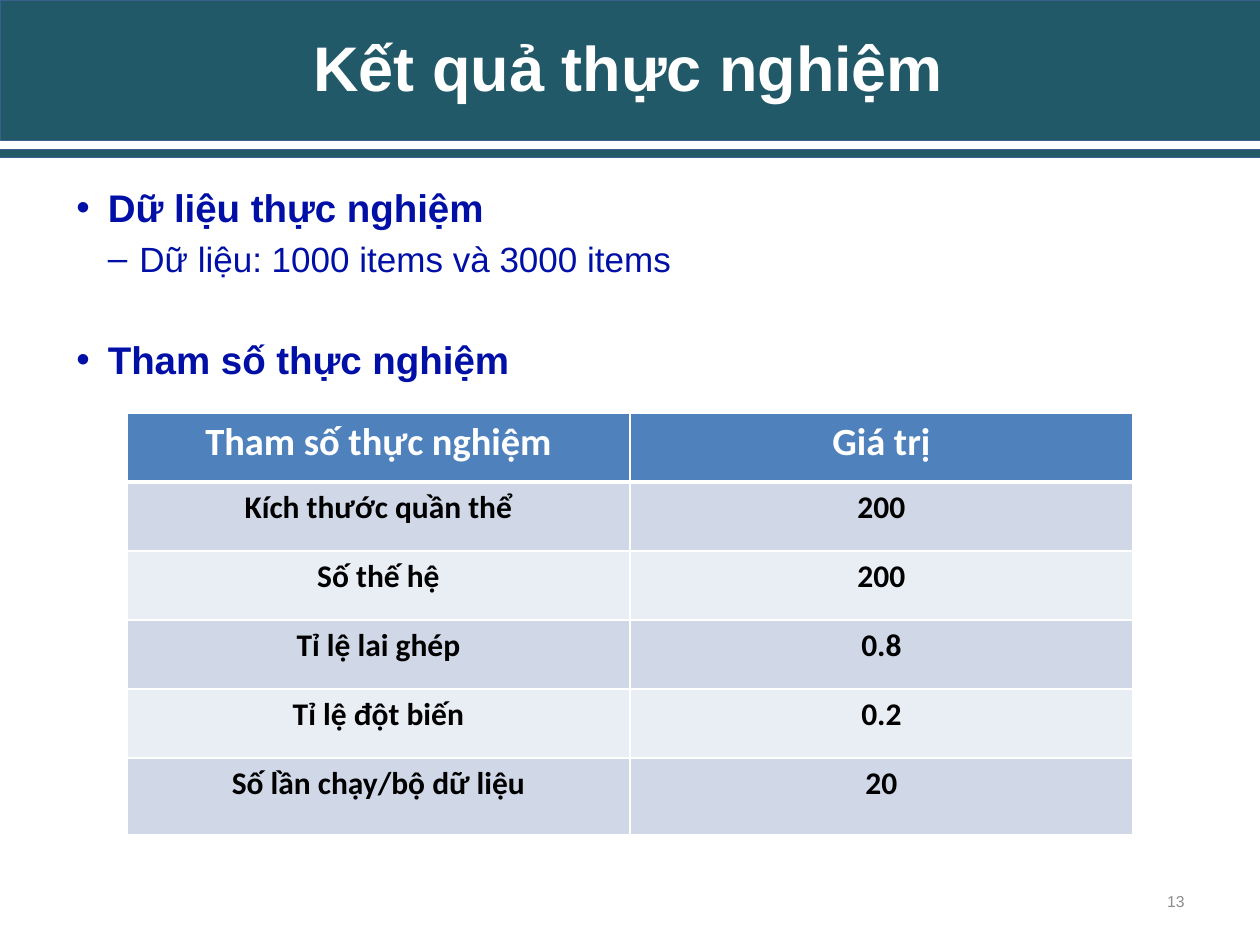
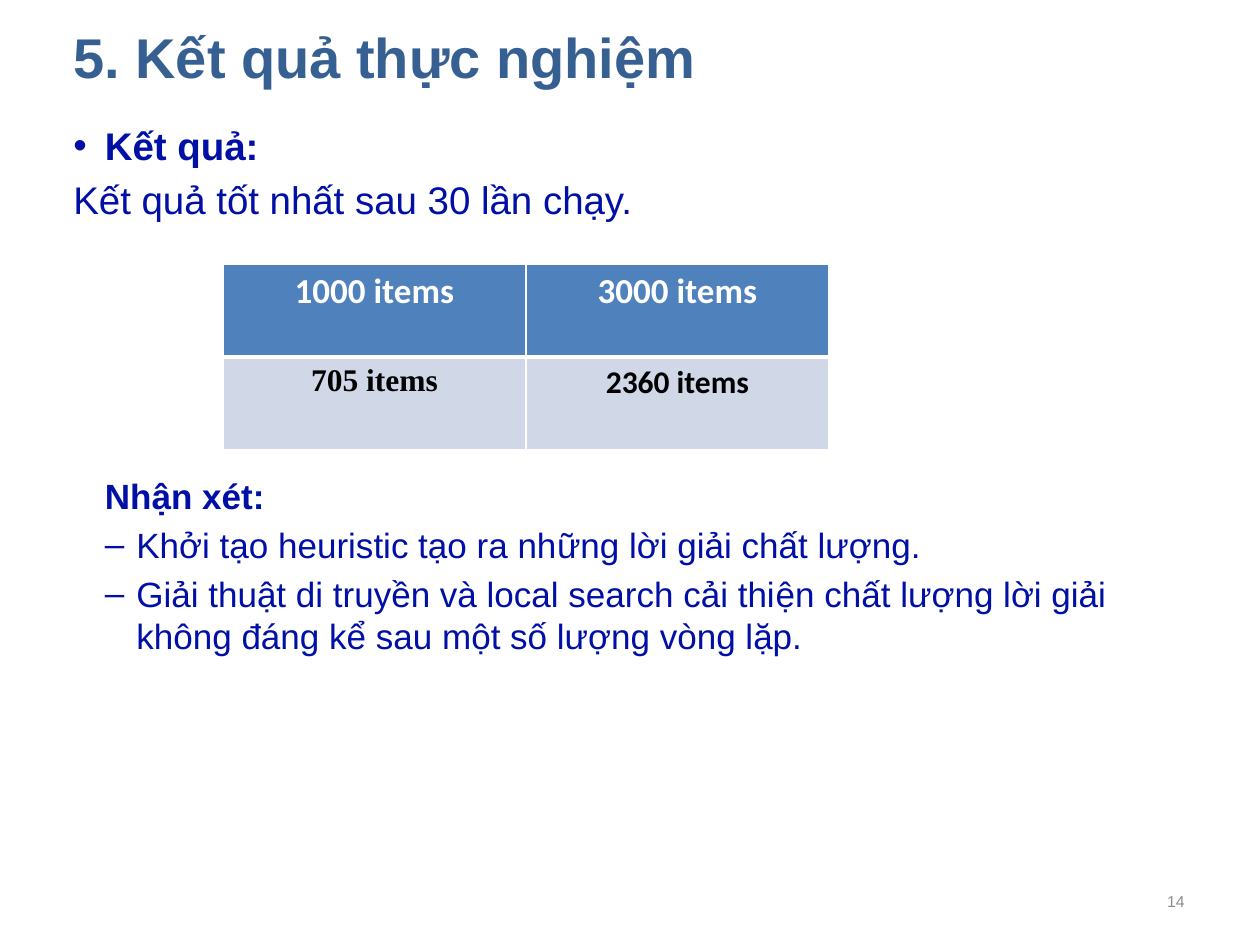
from lxml import etree
from pptx import Presentation
from pptx import util as u
from pptx.dml.color import RGBColor
from pptx.enum import shapes, text
from pptx.oxml.ns import qn

SCALE = 914400 / 126
PAGE = (1260, 945)
COLORS = {
    "band": "215968", "band_line": "3A5F8C", "heading": "376092",
    "body": "000FA5", "number": "8C8C8C", "white": "FFFFFF",
    "black": "000000", "header": "4F81BD", "odd": "D0D8E8", "even": "E9EDF4",
}
LEVELS = {
    "dot": ("•", 0.25, -0.25, 0),
    "dash": ("–", 0.5, -0.25, 1),
    "plain": (None, 0, 0, 0),
    "indented": (None, 0.25, 0, 1),
}
BANDS = [(0, 0, 1260, 140), (-4, 149, 1264, 8)]
NUMBER_BOX = (903, 876, 294, 50)

SLIDES = [
    {
        "number": "13",
        "title": ("Kết quả thực nghiệm", (63, 22, 1131, 135), 36, "white", "CENTER"),
        "bands": BANDS,
        "body_box": (64, 178, 1131, 735),
        "body": [
            ("dot", "Dữ liệu thực nghiệm", 22, True, 2),
            ("dash", "Dữ liệu: 1000 items va\u0300 3000 items", 20, False, 4),
            ("dot", "Tham số thực nghiệm", 22, True, 32.4),
        ],
        "table": {
            "corner": (127, 413), "column": 503, "rows": [69] * 5 + [77],
            "header_size": 22,
            "cells": [
                ("Tham số thực nghiệm", "Giá trị"),
                ("Kích thước quần thể", "200"),
                ("Số thế hệ", "200"),
                ("Tỉ lệ lai ghép", "0.8"),
                ("Tỉ lệ đột biến", "0.2"),
                ("Số lần chạy/bộ dữ liệu", "20"),
            ],
            "fonts": {},
        },
    },
    {
        "number": "14",
        "title": ("5. Kết quả thực nghiệm", (61, 16, 1134, 118), 32, "heading", "LEFT"),
        "bands": [],
        "body_box": (61, 116, 1131, 735),
        "body": [
            ("dot", "K\u00ea\u0301t qua\u0309:", 22, True, 2),
            ("plain", "K\u00ea\u0301t qua\u0309 t\u00f4\u0301t nh\u00e2\u0301t sau 30 "
                      "l\u00e2\u0300n cha\u0323y.", 22, False, 4.4),
            ("indented", "Nh\u00e2\u0323n xe\u0301t:", 20, True, 144),
            ("dash", "Kh\u01a1\u0309i ta\u0323o heuristic ta\u0323o ra nh\u01b0\u0303ng "
                     "l\u01a1\u0300i gia\u0309i ch\u00e2\u0301t l\u01b0\u01a1\u0323ng.",
             20, False, 4),
            ("dash", "Gia\u0309i thu\u00e2\u0323t di truy\u00ea\u0300n va\u0300 local search "
                     "ca\u0309i thi\u00ea\u0323n ch\u00e2\u0301t l\u01b0\u01a1\u0323ng "
                     "l\u01a1\u0300i gia\u0309i kh\u00f4ng \u0111a\u0301ng k\u00ea\u0309 sau "
                     "m\u00f4\u0323t s\u00f4\u0301 l\u01b0\u01a1\u0323ng vo\u0300ng "
                     "l\u0103\u0323p.", 20, False, 4),
        ],
        "table": {
            "corner": (223, 264), "column": 303, "rows": [93, 93],
            "header_size": 20,
            "cells": [("1000 items", "3000 items"), ("705 items", "2360 items")],
            "fonts": {(1, 0): "Times New Roman"},
        },
    },
]


def px(*lengths):
    return [u.Emu(round(length * SCALE)) for length in lengths]


def color(name):
    return RGBColor.from_string(COLORS[name])


def style(paragraph, size, tint, bold=False, font="Arial", align="LEFT"):
    paragraph.alignment = getattr(text.PP_ALIGN, align)
    for run in paragraph.runs:
        run.font.size = u.Pt(size)
        run.font.bold = bold
        run.font.name = font
        run.font.color.rgb = color(tint)


def add_text(slide, box, words, size, tint, bold, align, anchor="TOP"):
    frame = slide.shapes.add_textbox(*px(*box)).text_frame
    frame.word_wrap = True
    frame.vertical_anchor = getattr(text.MSO_ANCHOR, anchor)
    frame.text = words
    style(frame.paragraphs[0], size, tint, bold, align=align)


def add_body(slide, box, lines):
    frame = slide.shapes.add_textbox(*px(*box)).text_frame
    frame.word_wrap = True
    frame.text = "\n".join(line[1] for line in lines)
    for paragraph, (kind, _, size, bold, gap) in zip(frame.paragraphs, lines):
        bullet, margin, indent, level = LEVELS[kind]
        style(paragraph, size, "body", bold)
        paragraph.level = level
        paragraph.space_before = u.Pt(gap)
        properties = paragraph._p.get_or_add_pPr()
        properties.set("marL", str(u.Inches(margin)))
        properties.set("indent", str(u.Inches(indent)))
        if bullet:
            etree.SubElement(properties, qn("a:buFont")).set("typeface", "Arial")
            etree.SubElement(properties, qn("a:buChar")).set("char", bullet)
        else:
            etree.SubElement(properties, qn("a:buNone"))


def add_borders(cell, widths):
    properties = cell._tc.get_or_add_tcPr()
    for position, (side, width) in enumerate(zip("LRTB", widths)):
        line = etree.Element(qn(f"a:ln{side}"), w=str(u.Pt(width)))
        fill = etree.SubElement(line, qn("a:solidFill"))
        etree.SubElement(fill, qn("a:srgbClr")).set("val", COLORS["white"])
        properties.insert(position, line)


def add_table(slide, data):
    cells, heights = data["cells"], data["rows"]
    columns = len(cells[0])
    box = px(*data["corner"], data["column"] * columns, sum(heights))
    table = slide.shapes.add_table(len(cells), columns, *box).table
    for column in table.columns:
        column.width = px(data["column"])[0]
    for r, words in enumerate(cells):
        table.rows[r].height = px(heights[r])[0]
        fill = "header" if r == 0 else "odd" if r % 2 else "even"
        size, tint = (data["header_size"], "white") if r == 0 else (18, "black")
        for c, word in enumerate(words):
            cell = table.cell(r, c)
            cell.text_frame.text = word
            font = data["fonts"].get((r, c), "Calibri")
            style(cell.text_frame.paragraphs[0], size, tint, True, font, "CENTER")
            cell.fill.solid()
            cell.fill.fore_color.rgb = color(fill)
            add_borders(cell, (1, 1, 3 if r == 1 else 1, 3 if r == 0 else 1))


def add_band(slide, box):
    shape = slide.shapes.add_shape(shapes.MSO_SHAPE.RECTANGLE, *px(*box))
    shape.shadow.inherit = False
    shape.fill.solid()
    shape.fill.fore_color.rgb = color("band")
    shape.line.color.rgb = color("band_line")
    shape.line.width = u.Pt(0.25)


presentation = Presentation()
presentation.slide_width, presentation.slide_height = px(*PAGE)
for content in SLIDES:
    slide = presentation.slides.add_slide(presentation.slide_layouts[6])
    add_text(slide, NUMBER_BOX, content["number"], 9, "number", False, "RIGHT", "MIDDLE")
    add_body(slide, content["body_box"], content["body"])
    add_table(slide, content["table"])
    for band in content["bands"]:
        add_band(slide, band)
    words, box, size, tint, align = content["title"]
    add_text(slide, box, words, size, tint, True, align)
presentation.save("out.pptx")
